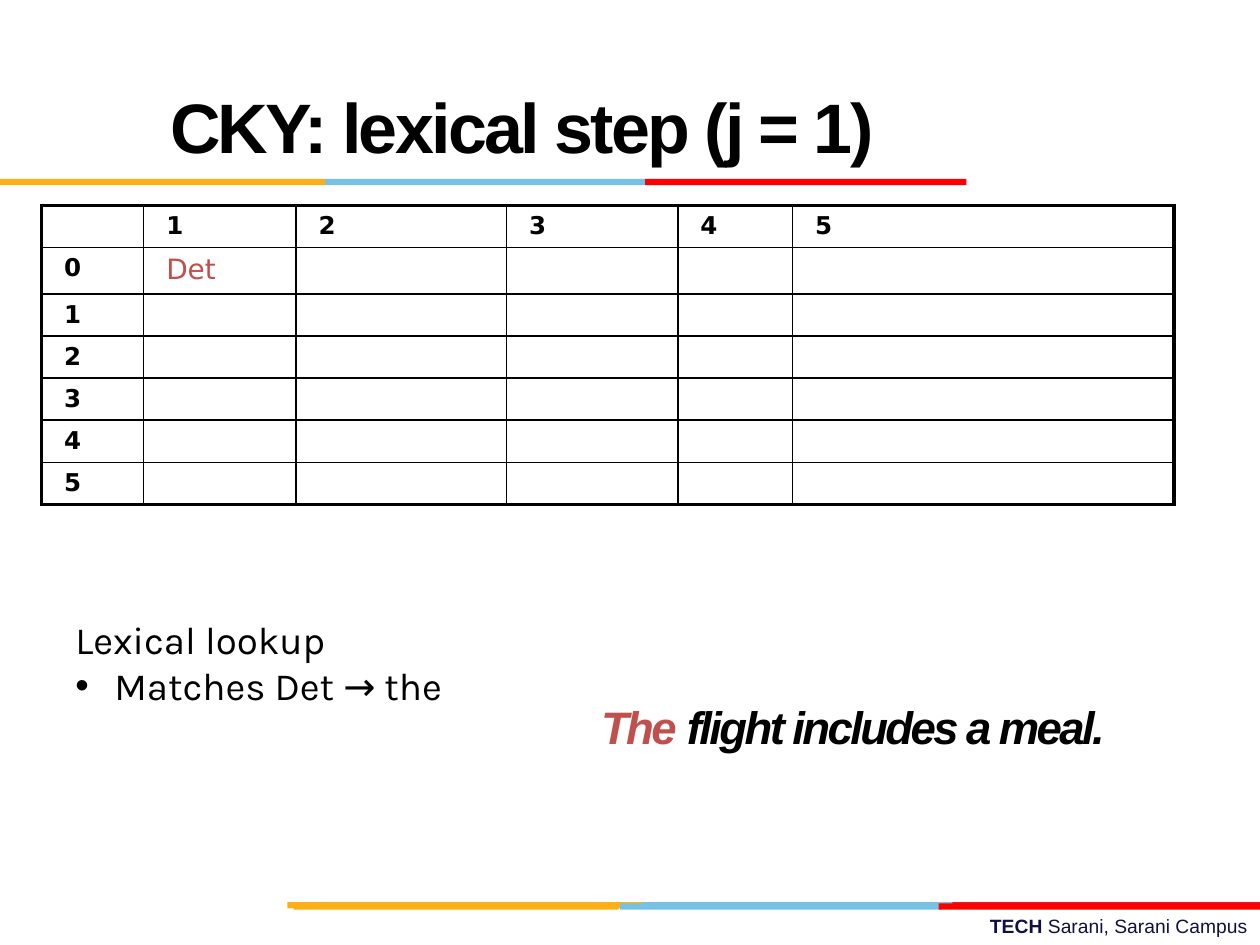
from lxml import etree
from pptx import Presentation
from pptx.dml.color import RGBColor
from pptx.enum import shapes, text
from pptx.oxml.ns import qn
from pptx.util import Inches, Pt

THEME = {
    "black": "000000", "accent": "C0504D", "navy": "101141",
    "yellow": "FCB017", "blue": "76C2E5", "red": "FF0000", "crimson": "E31C24",
    "head": "Arial", "body": "Karla", "grid": "DejaVu Sans",
    "title": 40, "sentence": 26, "list": 22, "det": 16, "cell": 14, "footer": 11,
    "thin": 1, "thick": 2.25,
}

TITLE = "CKY: lexical step (j = 1)"
SENTENCE = [("The", "accent"), (" flight includes a meal.", "black")]
LOOKUP = ["Lexical lookup", "Matches Det → the"]
FOOTER = [("TECH ", True), ("Sarani, Sarani Campus", False)]

COLUMN_LABELS = ["1", "2", "3", "4", "5"]
ROW_LABELS = ["0", "1", "2", "3", "4", "5"]
ENTRIES = {(1, 1): "Det"}  # (row, column) in the chart
COLUMN_WIDTHS = [0.81, 1.21, 1.67, 1.36, 0.91, 3.03]
ROW_HEIGHTS = [0.33, 0.37] + [0.33] * 5

BAR_HEIGHT = 0.05
STRIPS = [  # top, then (colour, left, width) of each bar
    (7.16, [("blue", 5.06, 2.55), ("crimson", 7.56, 2.44), ("yellow", 2.28, 2.82)]),
    (7.17, [("blue", 4.92, 2.55), ("yellow", 2.33, 2.58), ("red", 7.45, 2.55)]),
    (1.42, [("blue", 2.58, 2.55), ("yellow", 0, 2.58), ("red", 5.12, 2.55)]),
]


def box(*lengths):
    return [Inches(n) for n in lengths]


def color(name):
    return RGBColor.from_string(THEME[name])


def add_run(p, words, font, size, tint="black", spacing=None, **style):
    r = p.add_run()
    r.text = words
    values = {"name": THEME[font], "size": Pt(THEME[size]), **style}
    for key, value in values.items():
        setattr(r.font, key, value)
    r.font.color.rgb = color(tint)
    if spacing is not None:
        r._r.get_or_add_rPr().set("spc", str(int(spacing * 100)))


def set_bullet(p, char=None, indent=0.0):
    pPr = p._p.get_or_add_pPr()
    pPr.set("marL", str(Inches(indent)))
    pPr.set("indent", str(-Inches(indent)))
    if char:
        etree.SubElement(pPr, qn("a:buFont")).set("typeface", "Arial")
        etree.SubElement(pPr, qn("a:buChar")).set("char", char)
    else:
        etree.SubElement(pPr, qn("a:buNone"))


def place(sp, *lengths):
    """Move a placeholder and return its first paragraph, left-aligned."""
    sp.left, sp.top, sp.width, sp.height = box(*lengths)
    tf = sp.text_frame
    tf.word_wrap = True
    tf.auto_size = text.MSO_AUTO_SIZE.NONE
    tf.vertical_anchor = text.MSO_ANCHOR.MIDDLE
    p = tf.paragraphs[0]
    p.alignment = text.PP_ALIGN.LEFT
    return p


def add_text_box(slide, *lengths):
    tf = slide.shapes.add_textbox(*box(*lengths)).text_frame
    tf.word_wrap = True
    return tf


def add_strips(slide):
    for top, bars in STRIPS:
        for tint, left, width in bars:
            sp = slide.shapes.add_shape(shapes.MSO_SHAPE.RECTANGLE,
                                        *box(left, top, width, BAR_HEIGHT))
            sp.shadow.inherit = False
            sp.fill.solid()
            sp.fill.fore_color.rgb = color(tint)
            sp.line.fill.background()


def set_borders(cell, outer):
    """Draw all four sides, thick where the side is on the outer frame."""
    tcPr = cell._tc.get_or_add_tcPr()
    for i, side in enumerate("LRTB"):
        ln = etree.Element(qn(f"a:ln{side}"))
        ln.set("w", str(Pt(THEME["thick" if side in outer else "thin"])))
        fill = etree.SubElement(ln, qn("a:solidFill"))
        etree.SubElement(fill, qn("a:srgbClr")).set("val", THEME["black"])
        tcPr.insert(i, ln)


def add_chart_grid(slide):
    n_rows, n_cols = len(ROW_HEIGHTS), len(COLUMN_WIDTHS)
    labels = {(0, c): s for c, s in enumerate(COLUMN_LABELS, 1)}
    labels.update({(r, 0): s for r, s in enumerate(ROW_LABELS, 1)})
    table = slide.shapes.add_table(
        n_rows, n_cols,
        *box(0.33, 1.63, sum(COLUMN_WIDTHS), sum(ROW_HEIGHTS))).table
    table.first_row = table.horz_banding = False
    for column, width in zip(table.columns, COLUMN_WIDTHS):
        column.width = Inches(width)
    for row, height in zip(table.rows, ROW_HEIGHTS):
        row.height = Inches(height)

    for r in range(n_rows):
        for c in range(n_cols):
            cell = table.cell(r, c)
            cell.fill.background()
            cell.margin_left = cell.margin_right = Inches(0.18)
            edges = {"L": c == 0, "R": c == n_cols - 1,
                     "T": r == 0, "B": r == n_rows - 1}
            set_borders(cell, [side for side, on in edges.items() if on])
            p = cell.text_frame.paragraphs[0]
            if (r, c) in labels:
                add_run(p, labels[r, c], "grid", "cell", bold=True)
            elif (r, c) in ENTRIES:
                add_run(p, ENTRIES[r, c], "grid", "det", "accent", bold=False)
            else:  # keeps an empty row from growing
                end = etree.SubElement(p._p, qn("a:endParaRPr"))
                end.set("sz", str(THEME["cell"] * 100))


def main():
    prs = Presentation()
    prs.slide_width, prs.slide_height = box(10, 7.5)
    slide = prs.slides.add_slide(prs.slide_layouts[1])

    footer = add_text_box(slide, 3.58, 7.21, 6.42, 0.29).paragraphs[0]
    footer.alignment = text.PP_ALIGN.RIGHT
    for words, bold in FOOTER:
        add_run(footer, words, "head", "footer", "navy", bold=bold)

    add_strips(slide)
    add_chart_grid(slide)

    p = place(slide.shapes.title, 1.25, 0.33, 8.75, 1.33)
    add_run(p, TITLE, "head", "title", spacing=-1.5, bold=True)

    p = place(slide.placeholders[1], 4.67, 5.17, 6.92, 1.25)
    p.line_spacing = 0.9
    p.space_before = Pt(0)
    set_bullet(p)
    for words, tint in SENTENCE:
        add_run(p, words, "head", "sentence", tint, -1.5, bold=True, italic=True)

    tf = add_text_box(slide, 0.5, 4.84, 3.25, 1.65)
    heading, item = tf.paragraphs[0], tf.add_paragraph()
    set_bullet(item, "•", 0.31)
    for p, words in zip((heading, item), LOOKUP):
        add_run(p, words, "body", "list")

    prs.save("out.pptx")


if __name__ == "__main__":
    main()
